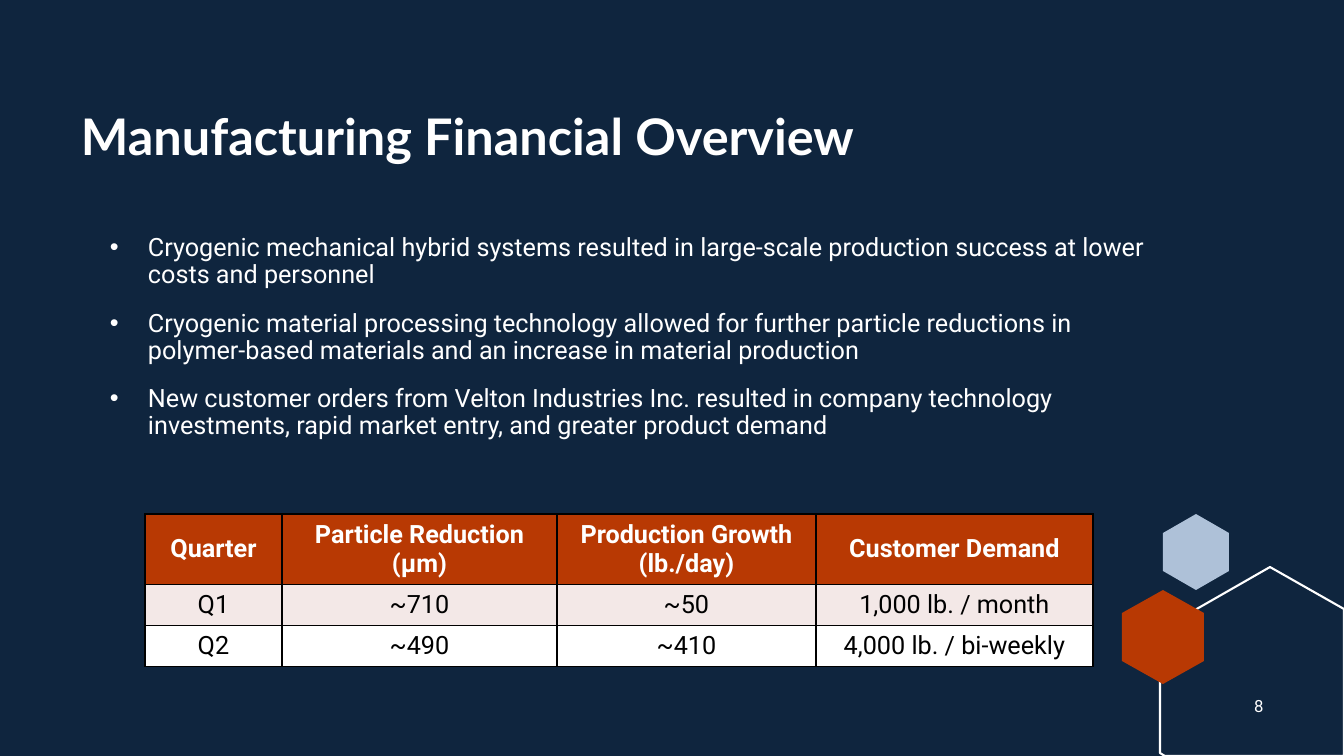
"""Build the Manufacturing Financial Overview slide."""
from lxml.etree import SubElement
from pptx import Presentation
from pptx.dml.color import RGBColor
from pptx.enum.text import MSO_ANCHOR, PP_ALIGN
from pptx.oxml import parse_xml
from pptx.oxml.ns import nsdecls, qn
from pptx.util import Pt

TITLE = "Manufacturing Financial Overview"
PAGE = "8"
BULLETS = [
    "Cryogenic mechanical hybrid systems resulted in large-scale production "
    "success at lower costs and personnel",
    "Cryogenic material processing technology allowed for further particle "
    "reductions in polymer-based materials and an increase in material production",
    "New customer orders from Velton Industries Inc. resulted in company "
    "technology investments, rapid market entry, and greater product demand",
]
ROWS = [
    ("Quarter", "Particle Reduction (μm)", "Production Growth (lb./day)", "Customer Demand"),
    ("Q1", "~710", "~50", "1,000 lb. / month"),
    ("Q2", "~490", "~410", "4,000 lb. / bi-weekly"),
]
COL_WIDTHS = (137, 275, 259, 277)
ROW_HEIGHTS = (69, 41, 41)
ROW_FILLS = ("rust", "blush", "white")
OUTLINE = [(1270, 567), (1344, 609), (1344, 756), (1165, 756), (1160, 753), (1160, 630)]
COLORS = {"navy": "0F253E", "white": "FFFFFF", "black": "000000",
          "rust": "B83903", "blush": "F3E8E7", "mist": "AEC1D8"}
EMU_PER_PX = 914400 / 100.8
INDENT = 38


def px(n):
    return round(n * EMU_PER_PX)


def rgb(name):
    return RGBColor.from_string(COLORS[name])


def write(tf, texts, size=18, font="Roboto", color="white", bold=False,
          align=PP_ALIGN.LEFT, spacing=None, gap=0, bullet=False):
    tf.word_wrap = True
    for i, text in enumerate(texts):
        p = tf.add_paragraph() if i else tf.paragraphs[0]
        p.alignment = align
        if spacing:
            p.line_spacing = spacing
        if i and gap:
            p.space_before = Pt(gap)
        if bullet:
            pPr = p._p.get_or_add_pPr()
            pPr.set("marL", str(px(INDENT)))
            pPr.set("indent", str(-px(INDENT)))
            SubElement(pPr, qn("a:buFont")).set("typeface", "Arial")
            SubElement(pPr, qn("a:buChar")).set("char", "•")
        r = p.add_run()
        r.text = text
        r.font.size = Pt(size)
        r.font.name = font
        r.font.bold = bold
        r.font.color.rgb = rgb(color)


def add_text(s, box, texts, anchor=MSO_ANCHOR.TOP, **fmt):
    tf = s.shapes.add_textbox(*map(px, box)).text_frame
    tf.margin_left = tf.margin_right = tf.margin_top = tf.margin_bottom = 0
    tf.vertical_anchor = anchor
    write(tf, texts, **fmt)


def hexagon(cx, top, half, height):
    shoulder = height // 4
    upper, lower, bottom = top + shoulder, top + height - shoulder, top + height
    return [(cx, top), (cx + half, upper), (cx + half, lower),
            (cx, bottom), (cx - half, lower), (cx - half, upper)]


def add_outline(s, points, fill=None, line=None):
    builder = s.shapes.build_freeform(*points[0], scale=EMU_PER_PX)
    builder.add_line_segments(points[1:], close=True)
    sp = builder.convert_to_shape()
    sp.shadow.inherit = False
    if fill:
        sp.fill.solid()
        sp.fill.fore_color.rgb = rgb(fill)
    else:
        sp.fill.background()
    if line:
        sp.line.color.rgb = rgb(line)
        sp.line.width = Pt(1.5)
    else:
        sp.line.fill.background()


def add_borders(cell):
    tcPr = cell._tc.get_or_add_tcPr()
    for i, side in enumerate("LRTB"):
        tcPr.insert(i, parse_xml(
            f'<a:ln{side} {nsdecls("a")} w="{Pt(1)}"><a:solidFill>'
            f'<a:srgbClr val="{COLORS["black"]}"/></a:solidFill></a:ln{side}>'))


def add_quarters(s, left, top):
    size = sum(COL_WIDTHS), sum(ROW_HEIGHTS)
    table = s.shapes.add_table(len(ROWS), len(COL_WIDTHS),
                               *map(px, (left, top, *size))).table
    for col, width in zip(table.columns, COL_WIDTHS):
        col.width = px(width)
    for i, row in enumerate(ROWS):
        table.rows[i].height = px(ROW_HEIGHTS[i])
        for j, text in enumerate(row):
            cell = table.cell(i, j)
            cell.fill.solid()
            cell.fill.fore_color.rgb = rgb(ROW_FILLS[i])
            cell.vertical_anchor = MSO_ANCHOR.MIDDLE
            write(cell.text_frame, [text], bold=i == 0, align=PP_ALIGN.CENTER,
                  color="black" if i else "white")
            add_borders(cell)


def main():
    prs = Presentation()
    prs.slide_width, prs.slide_height = px(1344), px(756)
    s = prs.slides.add_slide(prs.slide_layouts[6])
    s.background.fill.solid()
    s.background.fill.fore_color.rgb = rgb("navy")
    add_outline(s, hexagon(1196, 514, 33, 76), fill="mist")
    add_outline(s, OUTLINE, line="white")
    add_outline(s, hexagon(1163, 590, 41, 94), fill="rust")
    add_text(s, (81, 112, 1106, 97), [TITLE], size=36, font="Lato", bold=True, spacing=0.9)
    add_text(s, (1234, 686, 50, 40), [PAGE], anchor=MSO_ANCHOR.MIDDLE,
             size=12, align=PP_ALIGN.CENTER)
    add_text(s, (110, 235, 1061, 217), BULLETS, spacing=0.9, gap=15, bullet=True)
    add_quarters(s, 145, 514)
    prs.save("out.pptx")


if __name__ == "__main__":
    main()
